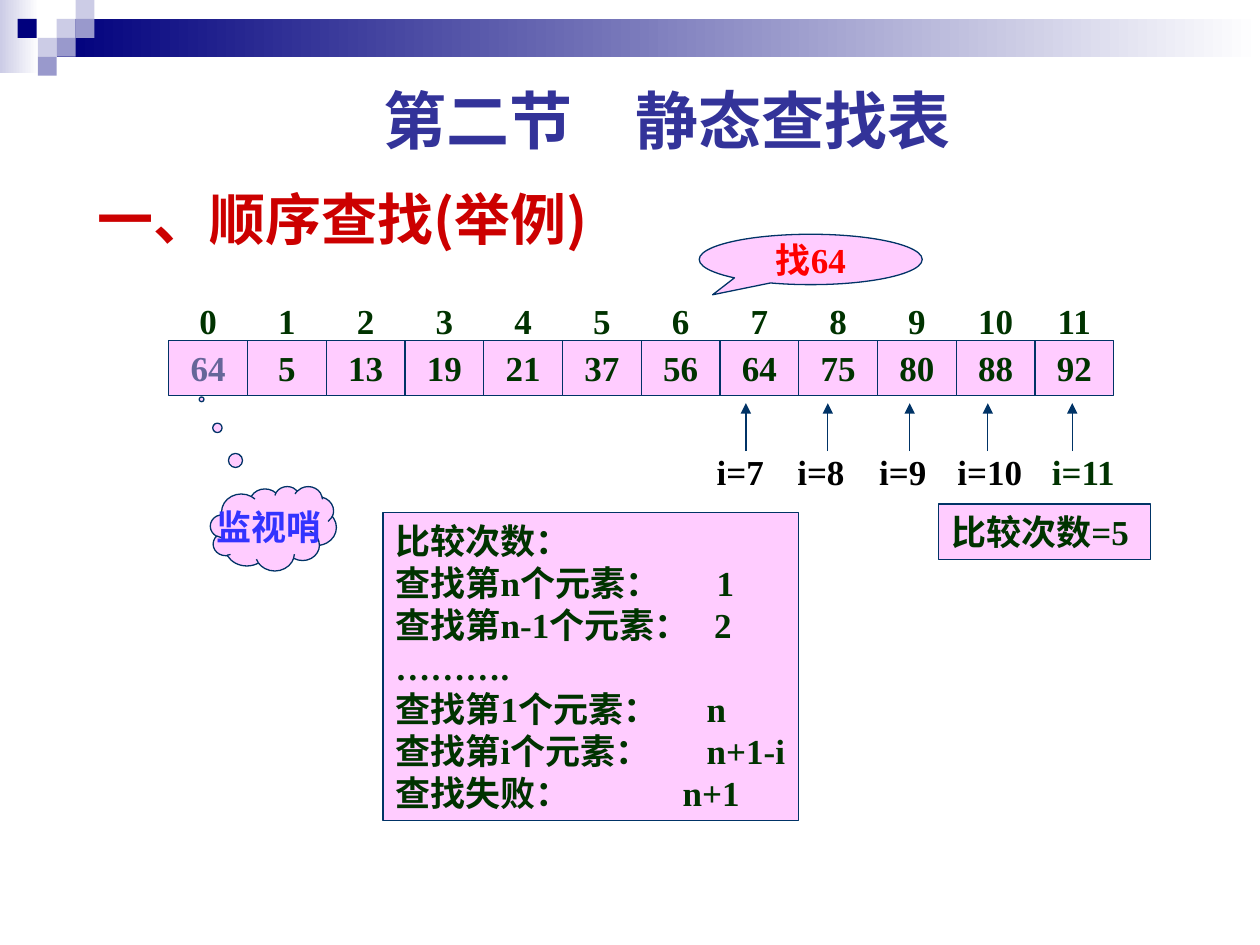
import lxml.etree
import pptx
import pptx.dml.color
import pptx.enum.shapes
import pptx.enum.text
import pptx.oxml.ns
import pptx.util

Inches = pptx.util.Inches
Pt = pptx.util.Pt
Shape = pptx.enum.shapes.MSO_SHAPE
Align = pptx.enum.text.PP_ALIGN
Anchor = pptx.enum.text.MSO_ANCHOR
qn = pptx.oxml.ns.qn

COLOURS = {
    "navy": "00007D", "lavender": "CCCCE6", "violet": "9999CC", "white": "FFFFFF",
    "pink": "FFCCFF", "outline": "003366", "green": "003300", "black": "000000",
    "red": "FF0000", "crimson": "CC0000", "blue": "3333FF", "indigo": "333399",
    "slate": "666699",
}


def rgb(name):
    return pptx.dml.color.RGBColor.from_string(COLOURS[name])


class SlideBuilder:
    latin = "Times New Roman"
    east_asian = "Noto Sans CJK SC"
    size = 20

    def __init__(self, slide):
        self.slide = slide

    def paragraph(self, para, text, colour="green", align=Align.LEFT, size=None,
                  font=None, leading=None, tabs=(), tab_align="l"):
        para.text = text
        para.alignment = align
        if leading:
            para.line_spacing = Pt(leading)
        properties = para._p.get_or_add_pPr()
        if tabs:
            stops = lxml.etree.SubElement(properties, qn("a:tabLst"))
            for position in tabs:
                lxml.etree.SubElement(stops, qn("a:tab"),
                                      pos=str(Inches(position)), algn=tab_align)
        para.font.size = Pt(size or self.size)
        para.font.bold = True
        para.font.color.rgb = rgb(colour)
        para.font.name = font or self.latin
        lxml.etree.SubElement(properties.find(qn("a:defRPr")), qn("a:ea"),
                              typeface=self.east_asian)

    def title(self, text, left, top, width, height, **style):
        box = self.slide.shapes.title
        box.left, box.top, box.width, box.height = map(Inches, (left, top, width, height))
        box.text_frame.vertical_anchor = Anchor.MIDDLE
        self.paragraph(box.text_frame.paragraphs[0], text, **style)

    def text(self, text, left, top, width, height, **style):
        box = self.slide.shapes.add_textbox(*map(Inches, (left, top, width, height)))
        box.text_frame.word_wrap = True
        self.paragraph(box.text_frame.paragraphs[0], text, **style)

    def band(self, left, top, width, height, colour, fade=False):
        box = self.slide.shapes.add_shape(
            Shape.RECTANGLE, *map(Inches, (left, top, width, height)))
        box.shadow.inherit = False
        box.line.fill.background()
        if fade:
            box.fill.gradient()
            box.fill.gradient_angle = 0
            for stop, name in zip(box.fill.gradient_stops, (colour, "white")):
                stop.color.rgb = rgb(name)
        else:
            box.fill.solid()
            box.fill.fore_color.rgb = rgb(colour)

    def panel(self, left, top, width, height, kind=Shape.RECTANGLE, adjustments=()):
        box = self.slide.shapes.add_shape(kind, *map(Inches, (left, top, width, height)))
        box.shadow.inherit = False
        box.fill.solid()
        box.fill.fore_color.rgb = rgb("pink")
        box.line.color.rgb = rgb("outline")
        box.line.width = Pt(0.75)
        for index, value in enumerate(adjustments):
            box.adjustments[index] = value
        return box

    def label(self, box, text, **style):
        box.text_frame.word_wrap = False
        box.text_frame.vertical_anchor = Anchor.MIDDLE
        self.paragraph(box.text_frame.paragraphs[0], text, align=Align.CENTER, **style)

    def rows(self, box, rows, leading):
        frame = box.text_frame
        frame.word_wrap = True
        frame.margin_right = 0
        frame.vertical_anchor = Anchor.TOP
        for index, (text, tab) in enumerate(rows):
            para = frame.add_paragraph() if index else frame.paragraphs[0]
            self.paragraph(para, text, leading=leading, tabs=(tab,) if tab else ())

    def arrow(self, x, start, end):
        line = self.slide.shapes.add_connector(
            pptx.enum.shapes.MSO_CONNECTOR.STRAIGHT,
            Inches(x), Inches(start), Inches(x), Inches(end))
        line.line.color.rgb = rgb("outline")
        line.line.width = Pt(0.75)
        lxml.etree.SubElement(line.line._get_or_add_ln(), qn("a:tailEnd"), type="triangle")
        lxml.etree.SubElement(line._element.spPr, qn("a:effectLst"))


def main():
    deck = pptx.Presentation()
    deck.slide_width, deck.slide_height = Inches(10), Inches(7.5)
    page = SlideBuilder(deck.slides.add_slide(deck.slide_layouts[5]))

    page.band(0, 0, 0.31, 0.58, "lavender", fade=True)
    page.band(0.45, 0.15, 9.55, 0.3, "navy", fade=True)
    for left, top, colour in (
            (0.45, 0.15, "lavender"), (0.6, 0, "lavender"), (0.6, 0.15, "violet"),
            (0.3, 0.3, "lavender"), (0.14, 0.15, "navy"), (0.45, 0.3, "violet"),
            (0.3, 0.45, "violet")):
        page.band(left, top, 0.15, 0.15, colour)

    page.title("一、顺序查找(举例)", 0.67, 1.36, 6.25, 0.75,
               colour="crimson", size=32, font=page.east_asian)
    page.text("第二节\u3000静态查找表", 0.67, 0.53, 9.25, 0.7, colour="indigo",
              align=Align.CENTER, size=36, font="Lato", leading=48)

    for x, offset, index, colour in (
            (5.92, 0.33, 7, "black"), (6.57, 0.34, 8, "black"), (7.22, 0.34, 9, "black"),
            (7.84, 0.34, 10, "black"), (8.51, 0.26, 11, "green")):
        page.arrow(x, 3.58, 3.2)
        page.text(f"i={index}", x - offset, 3.53, 0.73, 0.44, colour=colour)

    target = page.panel(5.55, 1.86, 1.77, 0.4, Shape.OVAL_CALLOUT, (-0.44, 0.7))
    page.label(target, "找64", colour="red")
    sentinel = page.panel(1.67, 3.86, 1, 0.67, Shape.CLOUD_CALLOUT, (-0.57, -1.53))
    page.label(sentinel, "监视哨", colour="blue")

    count = page.panel(7.45, 4, 1.68, 0.44)
    page.rows(count, [("比较次数=5", None)], leading=24)
    costs = page.panel(3.04, 4.07, 3.3, 2.44)
    page.rows(costs, [
        ("比较次数：", None),
        ("查找第n个元素：\t1", 2.55),
        ("查找第n-1个元素：\t2", 2.53),
        ("……….", None),
        ("查找第1个元素：\tn", 2.47),
        ("查找第i个元素：\tn+1-i", 2.47),
        ("查找失败：\tn+1", 2.28),
    ], leading=24)

    values = (64, 5, 13, 19, 21, 37, 56, 64, 75, 80, 88, 92)
    row_left, cell_width, index_left = 1.34, 7.5 / 12, 1.42
    centres = [row_left + cell_width * (index + 0.5) for index in range(len(values))]
    page.text("".join(f"\t{index}" for index in range(len(values))),
              index_left, 2.33, 7.75, 0.44,
              tabs=[centre - index_left - 0.1 for centre in centres], tab_align="ctr")
    for index, value in enumerate(values):
        cell = page.panel(row_left + cell_width * index, 2.7, cell_width, 0.44)
        page.label(cell, str(value), colour="green" if index else "slate")

    deck.save("out.pptx")


if __name__ == "__main__":
    main()
